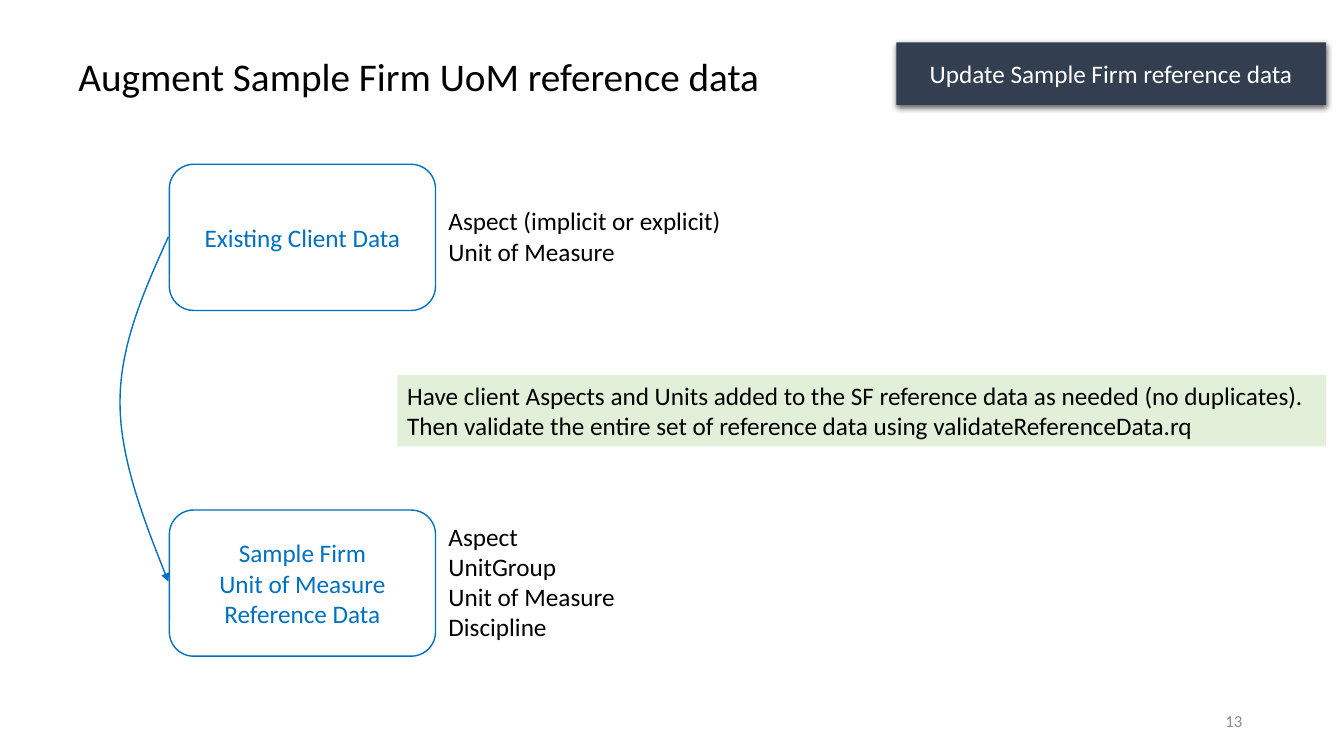
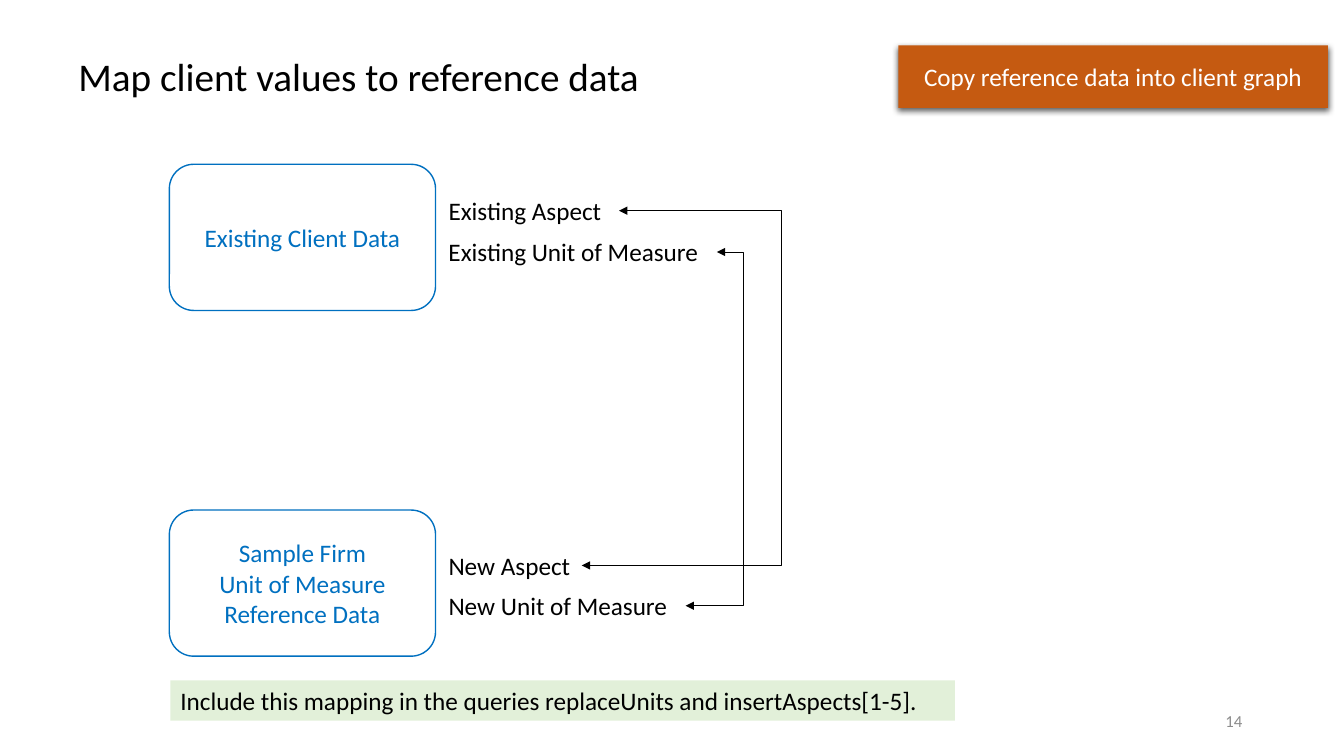
from lxml import etree
from pptx import Presentation
from pptx.dml.color import RGBColor
from pptx.enum import shapes, text
from pptx.oxml import ns
from pptx.util import Inches, Pt

FONT = "Calibri"
BLACK, WHITE, BLUE, GREY = "000000", "FFFFFF", "0070C0", "8C8C8C"
GREEN, NAVY, ORANGE = "E2F0D9", "333F50", "C55A11"
LEFT, CENTER, RIGHT = text.PP_ALIGN.LEFT, text.PP_ALIGN.CENTER, text.PP_ALIGN.RIGHT
TOP, MIDDLE = text.MSO_ANCHOR.TOP, text.MSO_ANCHOR.MIDDLE
BOX_LEFT, BOX_WIDTH, BOX_HEIGHT = 1.68, 2.64, 1.45
CLIENT_TOP, REFERENCE_TOP = 1.63, 5.06
LABEL_LEFT, LINE_HEIGHT = 4.35, 0.4


def color(value):
    """Turn a hex string into a colour."""
    return RGBColor.from_string(value)


def add_child(parent, tag, **attributes):
    """Append a DrawingML element to a parent."""
    return etree.SubElement(parent, ns.qn(tag), attributes)


def write(shape, lines, size=18, ink=BLACK, align=LEFT, anchor=TOP):
    """Fill a shape with evenly formatted lines of text."""
    frame = shape.text_frame
    frame.text = "\n".join(lines)
    frame.word_wrap = True
    frame.vertical_anchor = anchor
    for paragraph in frame.paragraphs:
        paragraph.alignment = align
        for run in paragraph.runs:
            run.font.name = FONT
            run.font.size = Pt(size)
            run.font.color.rgb = color(ink)


def add_text(slide, left, top, width, height, lines, **style):
    """Add a plain text box."""
    shape = slide.shapes.add_textbox(*map(Inches, (left, top, width, height)))
    write(shape, lines, **style)


def add_panel(slide, left, top, width, height, lines, fill=None, outline=None,
              kind=shapes.MSO_SHAPE.RECTANGLE, **style):
    """Add a filled or outlined shape with text."""
    shape = slide.shapes.add_shape(kind, *map(Inches, (left, top, width, height)))
    shape.shadow.inherit = False
    if fill:
        shape.fill.solid()
        shape.fill.fore_color.rgb = color(fill)
    else:
        shape.fill.background()
    if outline:
        shape.line.color.rgb = color(outline)
        shape.line.width = Pt(1)
    else:
        shape.line.fill.background()
    write(shape, lines, **style)
    return shape


def add_note(slide, left, top, width, height, lines):
    """Add a green instruction note."""
    add_panel(slide, left, top, width, height, lines, fill=GREEN)


def add_tag(slide, left, top, label, fill):
    """Add the shadowed step tag at the top right."""
    tag = add_panel(slide, left, top, 4.26, 0.62, [label], fill=fill,
                    ink=WHITE, align=CENTER, anchor=MIDDLE)
    effects = tag._element.spPr.find(ns.qn("a:effectLst"))
    shadow = add_child(effects, "a:outerShdw", blurRad=str(Pt(4.5)), dist=str(Pt(1.5)),
                       dir="5400000", algn="ctr", rotWithShape="0")
    shade = add_child(shadow, "a:srgbClr", val=BLACK)
    add_child(shade, "a:alpha", val="63000")


def add_data_box(slide, top, lines):
    """Add a rounded box for one data set."""
    add_panel(slide, BOX_LEFT, top, BOX_WIDTH, BOX_HEIGHT, lines, outline=BLUE,
              kind=shapes.MSO_SHAPE.ROUNDED_RECTANGLE,
              ink=BLUE, align=CENTER, anchor=MIDDLE)


def style_line(shape, ink, width, ends):
    """Set a line's colour, width and arrowheads."""
    shape.line.color.rgb = color(ink)
    shape.line.width = Pt(width)
    for end in ends:
        add_child(shape.line._get_or_add_ln(), end, type="triangle")


def bezier(points, t):
    """Return the point at t on a cubic curve."""
    weights = ((1 - t) ** 3, 3 * t * (1 - t) ** 2, 3 * t * t * (1 - t), t ** 3)
    return tuple(Inches(sum(w * point[axis] for w, point in zip(weights, points)))
                 for axis in (0, 1))


def add_curved_arrow(slide, curves, steps=24):
    """Draw an open arrow through joined cubic curves."""
    vertices = [bezier(curve, step / steps) for curve in curves
                for step in range(1, steps + 1)]
    builder = slide.shapes.build_freeform(*bezier(curves[0], 0))
    builder.add_line_segments(vertices, close=False)
    arrow = builder.convert_to_shape()
    arrow.fill.background()
    arrow.shadow.inherit = False
    style_line(arrow, BLUE, 1, ["a:tailEnd"])


def add_mapping(slide, start, end, spine):
    """Link two labels by a double arrow that bends at the spine."""
    connector = slide.shapes.add_connector(
        shapes.MSO_CONNECTOR.ELBOW, *map(Inches, (*start, *end)))
    style_line(connector, BLACK, 0.5, ["a:headEnd", "a:tailEnd"])
    properties = connector._element.spPr
    add_child(properties, "a:effectLst")
    guides = properties.find(ns.qn("a:prstGeom")).find(ns.qn("a:avLst"))
    bend = round((spine - start[0]) / (end[0] - start[0]) * 100000)
    add_child(guides, "a:gd", name="adj1", fmla=f"val {bend}")


def add_base(presentation, title, number):
    """Add a slide with title, number and the two data boxes."""
    slide = presentation.slides.add_slide(presentation.slide_layouts[6])
    add_text(slide, 0.68, 0.47, 7.43, 0.57, [title], size=28)
    add_text(slide, 9.42, 6.95, 3, 0.4, [str(number)], size=12, ink=GREY,
             align=RIGHT, anchor=MIDDLE)
    add_data_box(slide, CLIENT_TOP, ["Existing Client Data"])
    add_data_box(slide, REFERENCE_TOP,
                 ["Sample Firm", "Unit of Measure", "Reference Data"])
    return slide


def build_augment(presentation):
    """Build the slide on augmenting the reference data."""
    slide = add_base(presentation, "Augment Sample Firm UoM reference data", 13)
    add_curved_arrow(slide, [
        [(1.67, 2.35), (1.43, 2.88), (1.19, 3.42), (1.19, 3.99)],
        [(1.19, 3.99), (1.19, 4.56), (1.43, 5.17), (1.67, 5.77)],
    ])
    add_text(slide, LABEL_LEFT, 1.99, 2.93, 0.71,
             ["Aspect (implicit or explicit)", "Unit of Measure"])
    add_text(slide, LABEL_LEFT, 5.12, 1.87, 1.31,
             ["Aspect", "UnitGroup", "Unit of Measure", "Discipline"])
    add_note(slide, 3.94, 3.72, 9.21, 0.71, [
        "Have client Aspects and Units added to the SF reference data as needed (no duplicates).",
        "Then validate the entire set of reference data using validateReferenceData.rq",
    ])
    add_tag(slide, 8.89, 0.42, "Update Sample Firm reference data", NAVY)


def build_mapping(presentation):
    """Build the slide on mapping client values."""
    slide = add_base(presentation, "Map client values to reference data", 14)
    mappings = [
        ("Aspect", 1.89, 1.79, 5.41, 1.42, 7.75),
        ("Unit of Measure", 2.3, 2.76, 5.81, 2.45, 7.37),
    ]
    for name, old_top, old_width, new_top, new_width, spine in mappings:
        ends = []
        for prefix, top, width in (("New", new_top, new_width),
                                   ("Existing", old_top, old_width)):
            add_text(slide, LABEL_LEFT, top, width, LINE_HEIGHT, [f"{prefix} {name}"])
            ends.append((LABEL_LEFT + width, top + LINE_HEIGHT / 2))
        add_mapping(slide, *ends, spine)
    add_note(slide, 1.69, 6.75, 7.78, LINE_HEIGHT,
             ["Include this mapping in the queries replaceUnits and insertAspects[1-5]."])
    add_tag(slide, 8.91, 0.45, "Copy reference data into client graph", ORANGE)


def main():
    """Build and save the presentation."""
    presentation = Presentation()
    presentation.slide_width = Inches(13.33)
    presentation.slide_height = Inches(7.5)
    build_augment(presentation)
    build_mapping(presentation)
    presentation.save("out.pptx")


if __name__ == "__main__":
    main()
